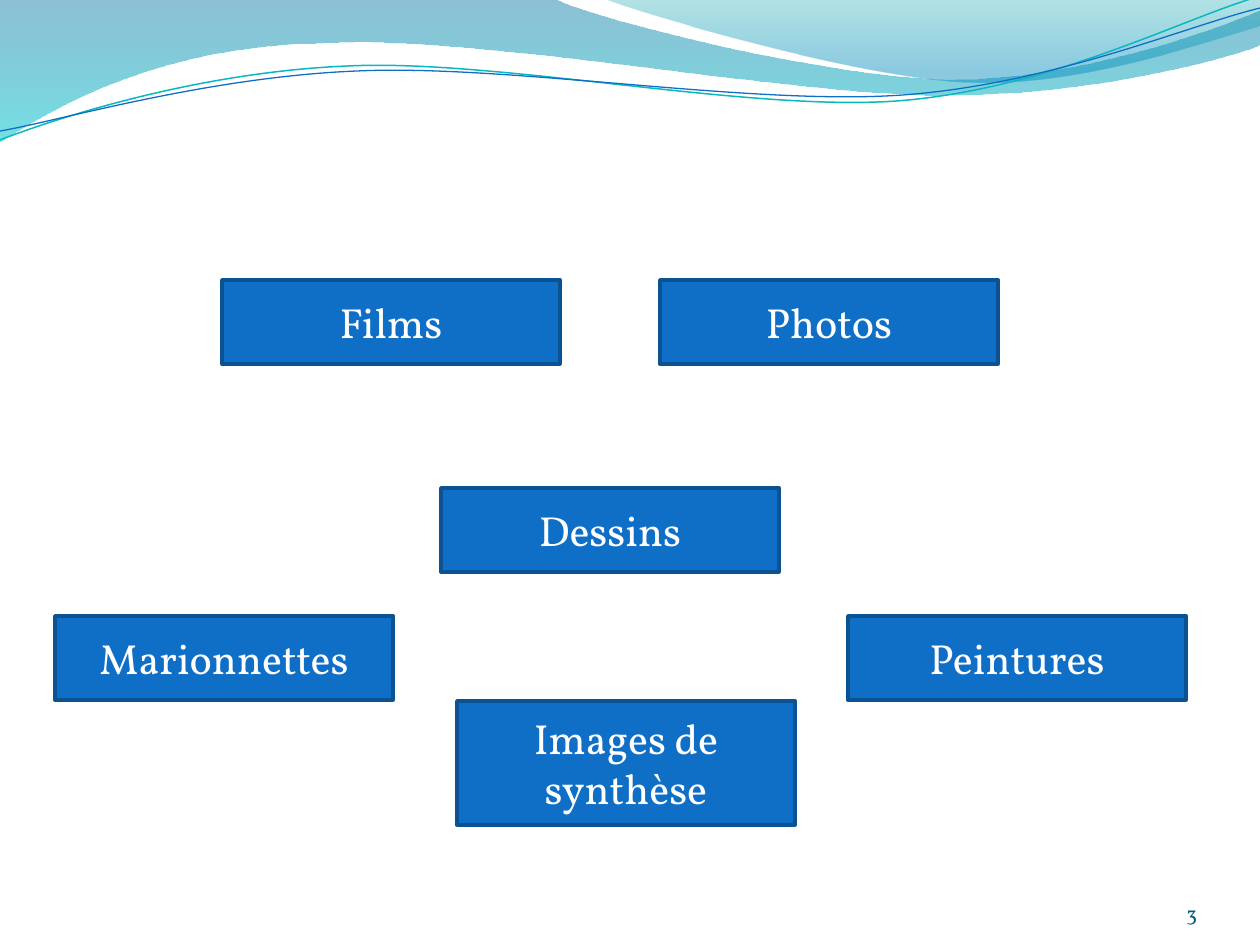
from dataclasses import dataclass
from math import cos, radians, sin

from lxml.etree import SubElement
from pptx import Presentation
from pptx.dml.color import RGBColor as Rgb
from pptx.enum.shapes import MSO_SHAPE as Preset
from pptx.enum.text import MSO_ANCHOR as Anchor, PP_ALIGN as Align
from pptx.oxml.ns import qn
from pptx.util import Pt

SCALE = 914400 / 126


@dataclass(frozen=True)
class Theme:
    """Colours, type sizes and line widths of the slide."""
    font: str = "Vollkorn"
    box: str = "0F6FC6"
    box_edge: str = "0B5292"
    box_text: str = "FFFFFF"
    number: str = "045D75"
    teal_line: str = "0AB8BF"
    blue_line: str = "0F6FC6"
    main_wave: tuple = ((0, "0074A1", 45), (100, "00C6CF", 55))
    right_wave: tuple = ((0, "00A1A9", 30), (80, "008BBF", 45))
    box_size: int = 24
    number_size: int = 12
    edge_width: float = 2
    teal_width: float = 0.85
    blue_width: float = 0.75


THEME = Theme()

MAIN_WAVE = [(0, 0), (554, -1), (600, 21, 837, 79, 955, 79),
             (1075, 79, 1207, 33, 1260, 11), (1261, 45),
             (1239, 55, 1096, 96, 940, 95), (784, 95, 481, 35, 324, 43),
             (163, 45, 58, 105, -1, 142), (0, 0)]
RIGHT_WAVE = [(604, -1), (641, 14, 859, 78, 969, 82),
              (1079, 87, 1211, 40, 1260, 26), (1260, 0), (604, -1)]
TEAL_LINE = [(0, 140), (60, 117, 199, 72, 349, 66),
             (498, 59, 747, 112, 898, 101), (1050, 89, 1182, 19, 1257, -3)]
BLUE_LINE = [(0, 131), (59, 121, 207, 77, 357, 71),
             (508, 64, 752, 106, 903, 95), (1053, 84, 1186, 26, 1260, 8)]
TILT = 2.7
TEAL_CENTRE, BLUE_CENTRE = (629, 72), (629, 74)

BOX_WIDTH, BOX_HEIGHT, TALL_HEIGHT = 338, 84, 124
MEDIA = [("Photos", 605, 0, BOX_HEIGHT), ("Films", 167, 0, BOX_HEIGHT),
         ("Images de synthèse", 402, 421, TALL_HEIGHT),
         ("Peintures", 793, 336, BOX_HEIGHT),
         ("Marionnettes", 0, 336, BOX_HEIGHT),
         ("Dessins", 386, 208, BOX_HEIGHT)]


def emu(px):
    """Turn px into EMU."""
    return round(px * SCALE)


def assign(target, values):
    """Set each named attribute of the target."""
    for name, value in values.items():
        setattr(target, name, value)


def level(segments, centre):
    """Turn the segments clockwise about the centre by the tilt."""
    cx, cy = centre
    c, s = cos(radians(TILT)), sin(radians(TILT))
    return [tuple(value for x, y in zip(segment[::2], segment[1::2])
                  for value in (cx + c * (x - cx) - s * (y - cy),
                                cy + s * (x - cx) + c * (y - cy)))
            for segment in segments]


def draw_outline(shapes, box, segments, close):
    """Draw lines and cubic curves in px measured from the box corner."""
    start, *rest = [(emu(x), emu(y)) for segment in segments
                    for x, y in zip(segment[::2], segment[1::2])]
    builder = shapes.build_freeform(*start)
    builder.add_line_segments(rest, close=close)
    outline = builder.convert_to_shape(emu(box[0]), emu(box[1]))
    outline.shadow.inherit = False
    strokes = iter(list(outline._element.iter(qn("a:lnTo"))))
    for segment in segments[1:]:
        stroke = next(strokes)
        if len(segment) == 6:
            stroke.tag = qn("a:cubicBezTo")
            for extra in (next(strokes), next(strokes)):
                stroke.append(extra[0])
                extra.getparent().remove(extra)
    return outline


def add_wave(slide, box, segments, stops):
    """Draw a translucent wave shaded from top to bottom."""
    wave = draw_outline(slide.shapes, box, segments, True)
    wave.line.fill.background()
    wave.fill.gradient()
    wave.fill.gradient_angle = 270
    for stop, (position, colour, _) in zip(wave.fill.gradient_stops, stops):
        stop.position = position / 100
        stop.color.rgb = Rgb.from_string(colour)
    for tint, (_, _, opacity) in zip(wave._element.spPr.iter(qn("a:srgbClr")), stops):
        SubElement(tint, qn("a:alpha")).set("val", str(opacity * 1000))


def add_swoosh(group, box, segments, centre, colour, width):
    """Draw a thin curved line, tilted about its centre."""
    swoosh = draw_outline(group.shapes, box, level(segments, centre), False)
    swoosh.rotation = 360 - TILT
    swoosh.fill.background()
    swoosh.line.color.rgb = Rgb.from_string(colour)
    swoosh.line.width = Pt(width)


def add_header(slide, box):
    """Place the waves and lines along the top."""
    add_wave(slide, box, MAIN_WAVE, THEME.main_wave)
    add_wave(slide, box, RIGHT_WAVE, THEME.right_wave)
    swooshes = slide.shapes.add_group_shape()
    add_swoosh(swooshes, box, TEAL_LINE, TEAL_CENTRE, THEME.teal_line, THEME.teal_width)
    add_swoosh(swooshes, box, BLUE_LINE, BLUE_CENTRE, THEME.blue_line, THEME.blue_width)


def write(frame, wording, size, colour, align, frame_format):
    """Fill a text frame with one formatted paragraph."""
    assign(frame, {"word_wrap": True, **frame_format})
    paragraph = frame.paragraphs[0]
    paragraph.alignment = align
    run = paragraph.add_run()
    run.text = wording
    assign(run.font, {"name": THEME.font, "size": Pt(size)})
    run.font.color.rgb = Rgb.from_string(colour)


def add_media(slide, box):
    """Place the labelled media boxes."""
    left, top = box[:2]
    for name, x, y, height in MEDIA:
        medium = slide.shapes.add_shape(
            Preset.RECTANGLE, *map(emu, (left + x, top + y, BOX_WIDTH, height)))
        medium.shadow.inherit = False
        medium.fill.solid()
        medium.fill.fore_color.rgb = Rgb.from_string(THEME.box)
        medium.line.color.rgb = Rgb.from_string(THEME.box_edge)
        medium.line.width = Pt(THEME.edge_width)
        write(medium.text_frame, name, THEME.box_size, THEME.box_text,
              Align.CENTER, {"vertical_anchor": Anchor.MIDDLE})


def add_page_number(slide, box):
    """Place the page number at the lower right."""
    number = slide.shapes.add_textbox(*map(emu, box))
    margins = {f"margin_{side}": 0 for side in ("left", "top", "right", "bottom")}
    write(number.text_frame, "3", THEME.number_size, THEME.number, Align.RIGHT,
          {"vertical_anchor": Anchor.BOTTOM, **margins})


def main():
    """Build and save the slide."""
    deck = Presentation()
    assign(deck, {"slide_width": emu(1260), "slide_height": emu(945)})
    slide = deck.slides.add_slide(deck.slide_layouts[6])
    add_header(slide, (0, 0, 1260, 142))
    add_page_number(slide, (1092, 876, 105, 50))
    add_media(slide, (55, 280, 1131, 545))
    deck.save("out.pptx")


if __name__ == "__main__":
    main()
